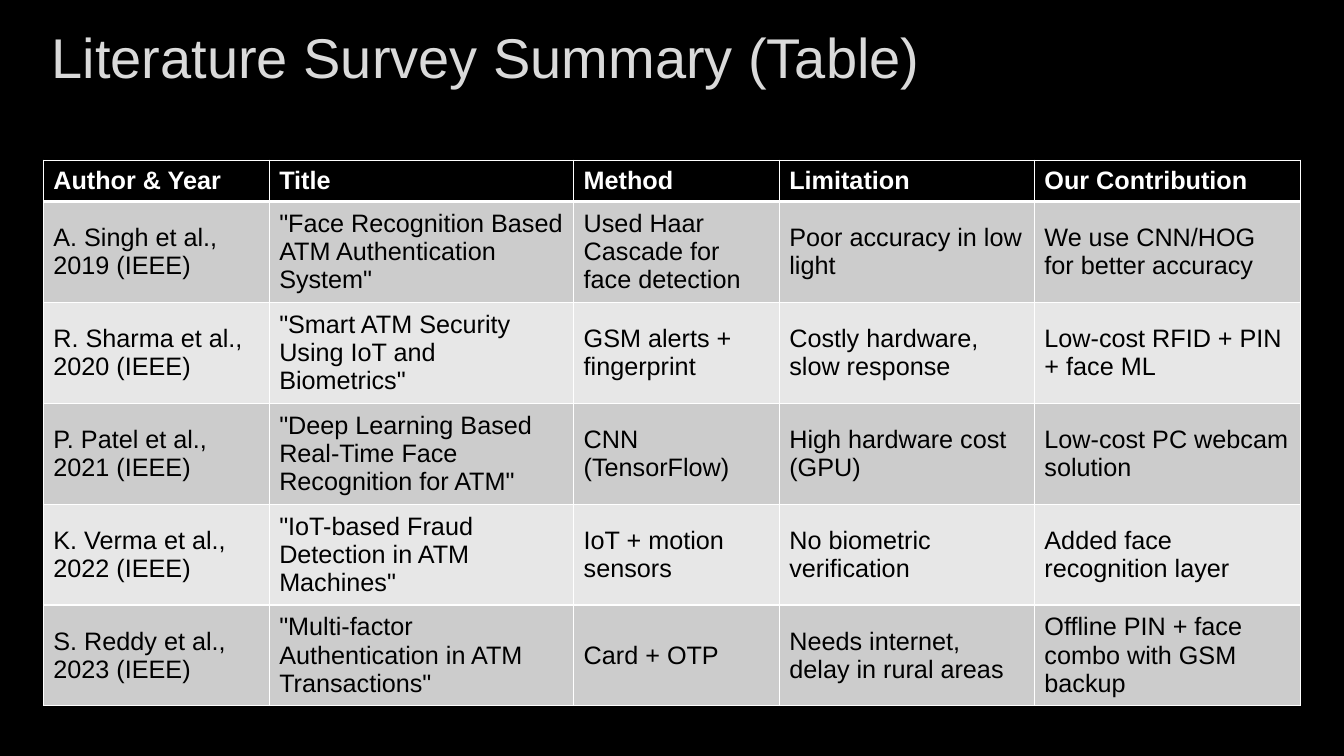
"""Build the literature survey summary slide."""
import lxml.etree
import pptx
import pptx.dml.color
import pptx.enum.text
import pptx.oxml.ns
import pptx.util

Inches = pptx.util.Inches
Pt = pptx.util.Pt

COLUMN_WIDTHS = [2.24, 3.02, 2.04, 2.53, 2.64]
HEADER_HEIGHT = 0.41
STUDY_HEIGHT = 0.94
SURVEY = [
    ["Author & Year", "Title", "Method", "Limitation", "Our Contribution"],
    ["A. Singh et al., 2019 (IEEE)",
     '"Face Recognition Based ATM Authentication System"',
     "Used Haar Cascade for face detection",
     "Poor accuracy in low light",
     "We use CNN/HOG for better accuracy"],
    ["R. Sharma et al., 2020 (IEEE)",
     '"Smart ATM Security Using IoT and Biometrics"',
     "GSM alerts + fingerprint",
     "Costly hardware, slow response",
     "Low-cost RFID + PIN + face ML"],
    ["P. Patel et al., 2021 (IEEE)",
     '"Deep Learning Based Real-Time Face Recognition for ATM"',
     "CNN (TensorFlow)",
     "High hardware cost (GPU)",
     "Low-cost PC webcam solution"],
    ["K. Verma et al., 2022 (IEEE)",
     '"IoT-based Fraud Detection in ATM Machines"',
     "IoT + motion sensors",
     "No biometric verification",
     "Added face recognition layer"],
    ["S. Reddy et al., 2023 (IEEE)",
     '"Multi-factor Authentication in ATM Transactions"',
     "Card + OTP",
     "Needs internet, delay in rural areas",
     "Offline PIN + face combo with GSM backup"],
]


def paint(fill, color):
    """Give a fill one solid colour."""
    fill.solid()
    fill.fore_color.rgb = pptx.dml.color.RGBColor.from_string(color)


def add_run(paragraph, text, size, color, bold=False):
    """Append one Arial run to a paragraph."""
    run = paragraph.add_run()
    run.text = text
    run.font.name = "Arial"
    run.font.size = Pt(size)
    run.font.bold = bold
    paint(run.font.fill, color)


def set_borders(cell, top, bottom):
    """Draw white borders, with the top and bottom widths in points."""
    properties = cell._tc.get_or_add_tcPr()
    widths = {"lnL": 1, "lnR": 1, "lnT": top, "lnB": bottom}
    for position, (side, width) in enumerate(widths.items()):
        border = lxml.etree.Element(pptx.oxml.ns.qn(f"a:{side}"), w=str(Pt(width)))
        solid = lxml.etree.SubElement(border, pptx.oxml.ns.qn("a:solidFill"))
        lxml.etree.SubElement(solid, pptx.oxml.ns.qn("a:srgbClr"), val="FFFFFF")
        properties.insert(position, border)


def add_title(slide, text):
    """Add the centred slide heading."""
    heading = slide.shapes.add_textbox(
        Inches(0), Inches(-0.1), Inches(9.63), Inches(1.31))
    frame = heading.text_frame
    frame.word_wrap = True
    frame.vertical_anchor = pptx.enum.text.MSO_ANCHOR.MIDDLE
    frame.paragraphs[0].alignment = pptx.enum.text.PP_ALIGN.CENTER
    add_run(frame.paragraphs[0], text, 40, "DADADA")


def fill_cell(cell, text, row):
    """Write and style one survey cell according to its row."""
    is_header = row == 0
    band = "000000" if is_header else ("E7E7E7", "CCCCCC")[row % 2]
    paint(cell.fill, band)
    cell.vertical_anchor = pptx.enum.text.MSO_ANCHOR.MIDDLE
    ink = "FFFFFF" if is_header else "000000"
    add_run(cell.text_frame.paragraphs[0], text, 18, ink, is_header)
    set_borders(cell, 3 if row == 1 else 1, 3 if is_header else 1)


def add_survey(slide):
    """Add the table of surveyed papers."""
    heights = [HEADER_HEIGHT] + [STUDY_HEIGHT] * (len(SURVEY) - 1)
    survey = slide.shapes.add_table(
        len(SURVEY), len(COLUMN_WIDTHS), Inches(0.43), Inches(1.59),
        Inches(sum(COLUMN_WIDTHS)), Inches(sum(heights))).table
    for column, width in zip(survey.columns, COLUMN_WIDTHS):
        column.width = Inches(width)
    for row, (height, entries) in enumerate(zip(heights, SURVEY)):
        survey.rows[row].height = Inches(height)
        for column, text in enumerate(entries):
            fill_cell(survey.cell(row, column), text, row)


def main():
    """Build and save the presentation."""
    presentation = pptx.Presentation()
    presentation.slide_width = Inches(13.33)
    presentation.slide_height = Inches(7.5)
    slide = presentation.slides.add_slide(presentation.slide_layouts[6])
    paint(slide.background.fill, "000000")
    add_title(slide, "Literature Survey Summary (Table)")
    add_survey(slide)
    presentation.save("out.pptx")


if __name__ == "__main__":
    main()
